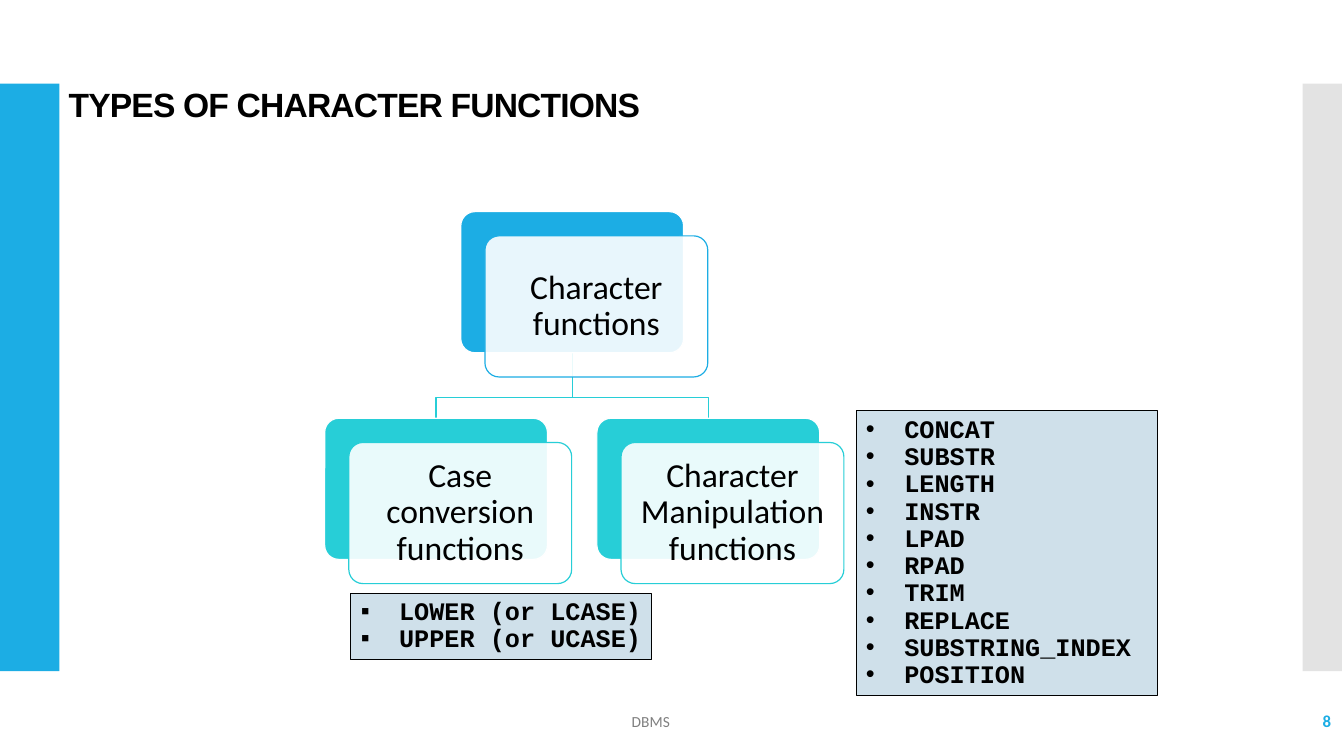
import pptx
import pptx.util
import pptx.dml.color
import pptx.enum.shapes
import pptx.enum.text
import pptx.oxml.ns
from lxml import etree

Inches = pptx.util.Inches
Pt = pptx.util.Pt
RGBColor = pptx.dml.color.RGBColor
KIND = pptx.enum.shapes.MSO_SHAPE
ALIGN = pptx.enum.text.PP_ALIGN
ANCHOR = pptx.enum.text.MSO_ANCHOR
qn = pptx.oxml.ns.qn

BLUE = RGBColor(0x1C, 0xAD, 0xE4)
TEAL = RGBColor(0x27, 0xCE, 0xD7)
PALE = RGBColor(0xCF, 0xE0, 0xEA)
SILVER = RGBColor(0xC8, 0xC8, 0xC8)
GRAY = RGBColor(0x80, 0x80, 0x80)
BLACK = RGBColor(0, 0, 0)
WHITE = RGBColor(255, 255, 255)

NODE_W, NODE_H = 2.21, 1.4
SHIFT = 0.24
ROOT = (4.57, 2.1)
LEAVES = [
    (3.22, 4.15, "Case conversion functions"),
    (5.92, 4.15, "Character Manipulation functions"),
]
CASE = ["LOWER (or LCASE)", "UPPER (or UCASE)"]
MANIP = ["CONCAT", "SUBSTR", "LENGTH", "INSTR", "LPAD", "RPAD", "TRIM",
         "REPLACE", "SUBSTRING_INDEX", "POSITION"]


def style(para, face, size, color, bold=False):
    font = para.font
    font.name = face
    font.size = Pt(size)
    font.bold = bold
    font.color.rgb = color


def add_box(slide, kind, x, y, w, h, fill, line=None, width=0.85, alpha=100):
    box = slide.shapes.add_shape(kind, Inches(x), Inches(y), Inches(w), Inches(h))
    box.shadow.inherit = False
    box.fill.solid()
    box.fill.fore_color.rgb = fill
    if alpha < 100:
        tint = box.fill._xPr.find(qn("a:solidFill"))[0]
        etree.SubElement(tint, qn("a:alpha")).set("val", str(alpha * 1000))
    if line is None:
        box.line.fill.background()
    else:
        box.line.color.rgb = line
        box.line.width = Pt(width)
    return box


def add_node(slide, x, y, text, color):
    back = add_box(slide, KIND.ROUNDED_RECTANGLE, x, y, NODE_W, NODE_H, color, WHITE)
    front = add_box(slide, KIND.ROUNDED_RECTANGLE, x + SHIFT, y + SHIFT,
                    NODE_W, NODE_H, WHITE, color, alpha=90)
    for card in (back, front):
        card.adjustments[0] = 0.1
    frame = front.text_frame
    frame.word_wrap = True
    frame.vertical_anchor = ANCHOR.MIDDLE
    frame.margin_left = frame.margin_right = Inches(0.1)
    frame.margin_top = frame.margin_bottom = Inches(0.1)
    para = frame.paragraphs[0]
    para.text = text
    para.alignment = ALIGN.CENTER
    para.line_spacing = 0.9
    style(para, "Calibri", 24, BLACK)


def add_branch(slide, leaf_x, leaf_y):
    start = ROOT[0] + NODE_W / 2
    end = leaf_x + NODE_W / 2
    top = ROOT[1] + NODE_H
    bend = leaf_y - 0.21
    path = slide.shapes.build_freeform(Inches(start), Inches(top))
    points = [(start, bend), (end, bend), (end, leaf_y)]
    path.add_line_segments([(Inches(x), Inches(y)) for x, y in points], close=False)
    branch = path.convert_to_shape()
    branch.shadow.inherit = False
    branch.fill.background()
    branch.line.color.rgb = TEAL
    branch.line.width = Pt(0.85)


def add_list(slide, x, y, w, h, items, mark, anchor):
    box = add_box(slide, KIND.RECTANGLE, x, y, w, h, PALE, BLACK, 0.75)
    frame = box.text_frame
    frame.word_wrap = True
    frame.vertical_anchor = anchor
    for place, item in enumerate(items):
        para = frame.add_paragraph() if place else frame.paragraphs[0]
        para.text = item
        para.alignment = ALIGN.LEFT
        para.line_spacing = 0.9
        props = para._p.get_or_add_pPr()
        props.set("marL", str(Inches(0.38)))
        props.set("indent", str(Inches(-0.38)))
        etree.SubElement(props, qn("a:buFont")).set("typeface", "Arial")
        etree.SubElement(props, qn("a:buChar")).set("char", mark)
        style(para, "Courier New", 18, BLACK, True)


def add_label(slide, x, y, w, h, text, align, size, color, bold=False):
    frame = slide.shapes.add_textbox(Inches(x), Inches(y), Inches(w), Inches(h)).text_frame
    frame.word_wrap = True
    frame.vertical_anchor = ANCHOR.MIDDLE
    para = frame.paragraphs[0]
    para.text = text
    para.alignment = align
    style(para, "Calibri", size, color, bold)


def set_title(slide, text):
    title = slide.shapes.title
    title.left, title.top = Inches(0.58), Inches(0.86)
    title.width, title.height = Inches(10.44), Inches(0.4)
    frame = title.text_frame
    frame.vertical_anchor = ANCHOR.MIDDLE
    para = frame.paragraphs[0]
    para.text = text
    para.alignment = ALIGN.LEFT
    para.line_spacing = 0.9
    style(para, "Arial", 24, BLACK, True)
    para.runs[0]._r.get_or_add_rPr().set("spc", "-60")


def main():
    deck = pptx.Presentation()
    deck.slide_width, deck.slide_height = Inches(13.33), Inches(7.5)
    slide = deck.slides.add_slide(deck.slide_layouts[5])
    add_box(slide, KIND.RECTANGLE, 0, 0.83, 0.59, 5.83, BLUE)
    add_box(slide, KIND.RECTANGLE, 12.92, 0.83, 0.39, 5.83, SILVER, alpha=50)
    set_title(slide, "TYPES OF CHARACTER FUNCTIONS")
    add_label(slide, 3.29, 6.96, 6.33, 0.39, "DBMS", ALIGN.CENTER, 11, GRAY)
    add_label(slide, 11.63, 6.95, 1.67, 0.4, "8", ALIGN.RIGHT, 12, BLUE, True)
    for x, y, text in LEAVES:
        add_branch(slide, x, y)
    add_node(slide, *ROOT, "Character functions", BLUE)
    for x, y, text in LEAVES:
        add_node(slide, x, y, text, TEAL)
    add_list(slide, 8.49, 4.07, 2.99, 2.83, MANIP, "•", ANCHOR.MIDDLE)
    add_list(slide, 3.48, 5.89, 2.98, 0.65, CASE, "▪", ANCHOR.TOP)
    deck.save("out.pptx")


if __name__ == "__main__":
    main()
